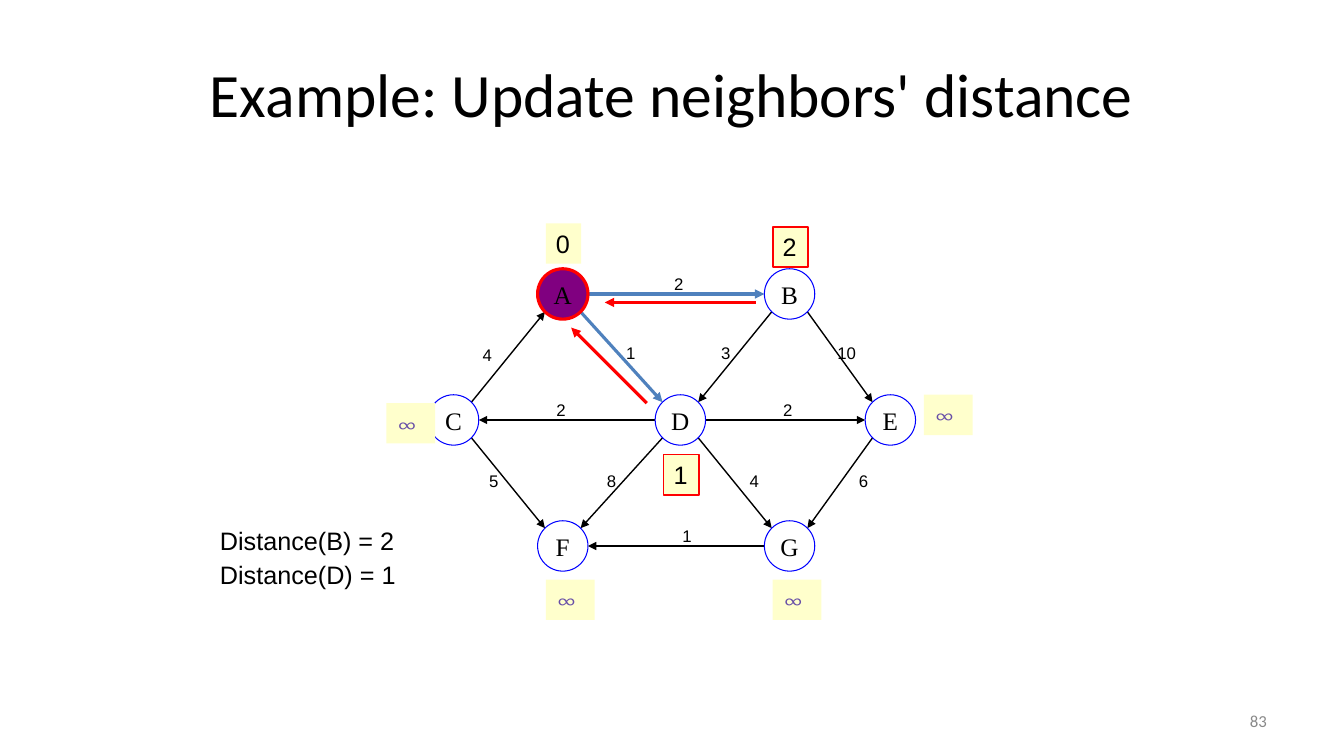
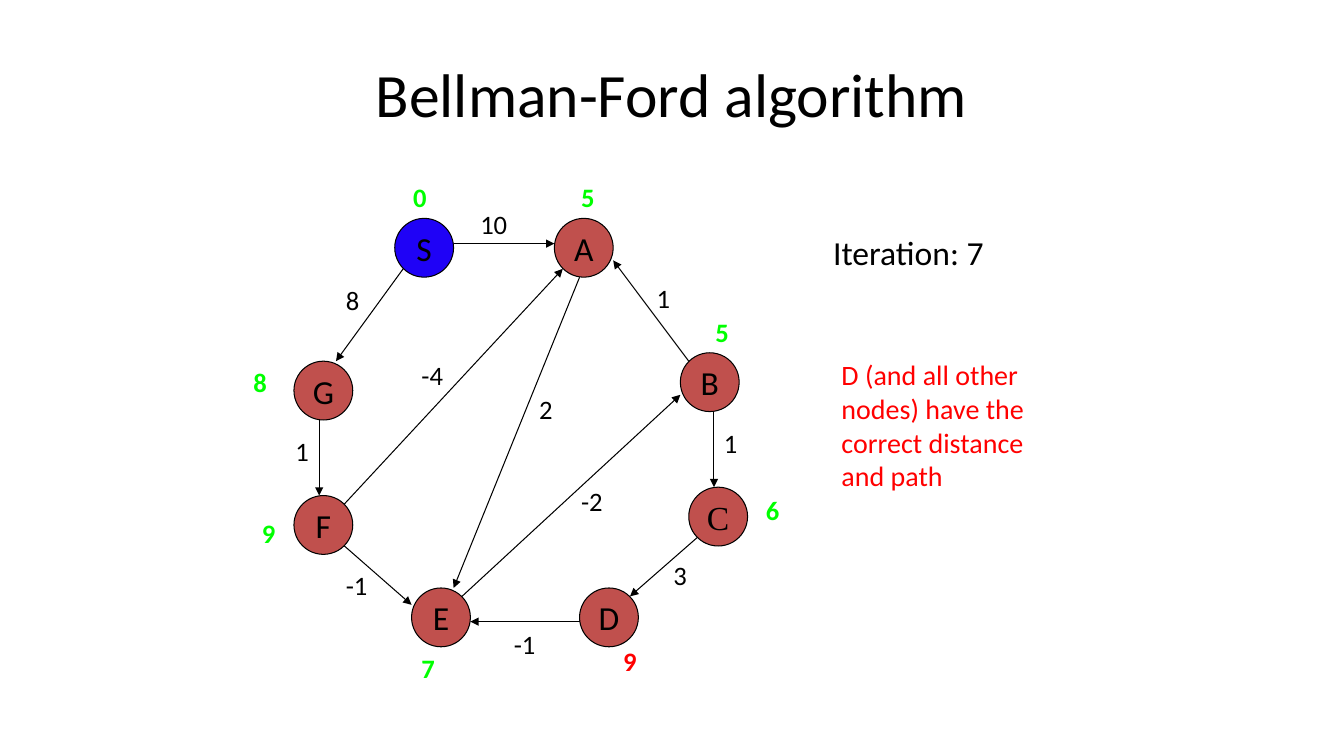
"""Builds two slides on shortest paths: Dijkstra's update step and Bellman-Ford."""
from math import sqrt

from lxml import etree
from pptx import Presentation
from pptx.dml.color import RGBColor
from pptx.enum.shapes import MSO_CONNECTOR as LINE, MSO_SHAPE as SHAPE
from pptx.enum.text import MSO_ANCHOR as ANCHOR, PP_ALIGN as ALIGN
from pptx.oxml.ns import qn
from pptx.util import Cm, Pt

BLACK, WHITE, RED, GRAY = "000000", "FFFFFF", "FF0000", "898989"
BLUE_RING, PURPLE, STEEL = "0000FF", "800080", "4F81BD"
CREAM, VIOLET = "FFFFCC", "674EA7"
BRICK, SOURCE_BLUE, GREEN = "C0504D", "1F02F6", "00FF00"
SANS, SERIF, ARIAL, MATH = "Calibri", "Times New Roman", "Arial", "Cambria"

COLUMNS, ROWS = 160, 90
CELL_CM = 2.54 / 12

UPDATE_TITLE = "Example: Update neighbors' distance"
UPDATE_NODES = {
    "A": (64, 32), "B": (91, 32), "C": (51, 47), "D": (78, 47),
    "E": (103, 47), "F": (64, 62), "G": (91, 62),
}
UPDATE_DIAMETER = 6
UPDATE_EDGES = [
    ("A", "B", "2", (79, 32)), ("A", "D", "1", (73.3, 40.2)),
    ("B", "D", "3", (84.6, 40.2)), ("B", "E", "10", (98.4, 40.2)),
    ("C", "A", "4", (56.2, 40.4)), ("C", "F", "5", (57, 55.4)),
    ("D", "C", "2", (65, 47)), ("D", "E", "2", (92, 47)),
    ("D", "F", "8", (71, 55.4)), ("D", "G", "4", (88, 55.4)),
    ("E", "G", "6", (101, 55.4)), ("G", "F", "1", (80, 62)),
]
CURRENT = "A"
UPDATED = ("B", "D")
UPDATE_DISTANCES = {
    "A": ("0", 65, 26.6), "B": ("2", 92, 27), "C": ("∞", 46, 48),
    "D": ("1", 79, 54.1), "E": ("∞", 110, 47), "F": ("∞", 65, 69),
    "G": ("∞", 92, 69),
}
RESULTS = [("Distance(B) = 2", 62), ("Distance(D) = 1", 66)]
BACK_POINTERS = [((77, 48), (68, 39)), ((90, 36), (72, 36))]
PAGE_NUMBER = "83"

BELLMAN_TITLE = "Bellman-Ford algorithm"
BELLMAN_NODES = {
    "G": (35, 43), "S": (47, 26), "F": (35, 59), "E": (49, 70),
    "A": (66, 26), "D": (69, 70), "B": (81, 42), "C": (82, 58),
}
BELLMAN_DIAMETER = 7
BELLMAN_EDGES = [
    ((54, 29), (66, 29), "10", (56, 24.2)),
    ((82, 43), (73, 31), "1", (77, 33)),
    ((85, 49), (85, 58), "1", (85, 50.2)),
    ((83, 64), (75, 71), "3", (79, 66)),
    ((69, 74), (56, 74), "-1", (60, 74.2)),
    ((41, 65), (49, 72), "-1", (40, 67.2)),
    ((38, 50), (38, 59), "1", (34, 51.2)),
    ((48, 32), (40, 43), "8", (40, 33.2)),
    ((41, 60), (67, 32), "-4", (49, 42.2)),
    ((69, 33), (54, 70), "2", (63, 46.2)),
    ((55, 71), (81, 47), "-2", (68, 57.2)),
]
BELLMAN_DISTANCES = {
    "S": ("0", 48, 21), "A": ("5", 68, 21), "B": ("5", 84, 37),
    "C": ("6", 90, 58.2), "D": ("9", 73, 76.2), "E": ("7", 49, 77),
    "F": ("9", 30, 61), "G": ("8", 29, 43),
}
JUST_CORRECTED = "D"
ITERATION = "Iteration: 7"
CONCLUSION = "D (and all other nodes) have the correct distance and path"


def rgb(code):
    """Turn a hex string into a colour."""
    return RGBColor.from_string(code)


def grid(*cells):
    """Turn grid cells into lengths."""
    return [Cm(cell * CELL_CM) for cell in cells]


def write(shape, text, size, font=SANS, color=BLACK, bold=False,
          align=ALIGN.LEFT, anchor=ANCHOR.TOP, wrap=True):
    """Set and format the text of a shape."""
    frame = shape.text_frame
    frame.text = text
    frame.word_wrap = wrap
    frame.vertical_anchor = anchor
    paragraph = frame.paragraphs[0]
    paragraph.alignment = align
    face = paragraph.runs[0].font
    face.name, face.size, face.bold = font, Pt(size), bold
    face.color.rgb = rgb(color)


def add_label(slide, text, box, size, **style):
    """Add a text box placed on the grid."""
    write(slide.shapes.add_textbox(*grid(*box)), text, size, **style)


def add_figure(slide, kind, box, fill=None, line=None, width=0.75):
    """Add a flat preset shape placed on the grid."""
    figure = slide.shapes.add_shape(kind, *grid(*box))
    figure.shadow.inherit = False
    if fill:
        figure.fill.solid()
        figure.fill.fore_color.rgb = rgb(fill)
    else:
        figure.fill.background()
    if line:
        figure.line.color.rgb = rgb(line)
        figure.line.width = Pt(width)
    else:
        figure.line.fill.background()
    return figure


def add_node(slide, name, corner, diameter, size, font, **look):
    """Add a circle that carries the name of its node."""
    node = add_figure(slide, SHAPE.OVAL, (*corner, diameter, diameter), **look)
    frame = node.text_frame
    frame.margin_left = frame.margin_right = 0
    frame.margin_top = frame.margin_bottom = 0
    write(node, name, size, font, align=ALIGN.CENTER, anchor=ANCHOR.MIDDLE,
          wrap=False)


def add_arrow(slide, start, end, color=BLACK, width=0.75):
    """Add a straight arrow between two grid points."""
    arrow = slide.shapes.add_connector(LINE.STRAIGHT, *grid(*start, *end))
    arrow.line.color.rgb = rgb(color)
    arrow.line.width = Pt(width)
    etree.SubElement(arrow.line._get_or_add_ln(), qn("a:tailEnd"),
                     type="triangle")
    etree.SubElement(arrow._element.spPr, qn("a:effectLst"))


def rim_points(start, end, diameter):
    """Find where an edge leaves and meets two circles, in steps of 45 degrees."""
    radius = diameter / 2
    dx, dy = ((b > a) - (b < a) for a, b in zip(start, end))
    reach = radius / sqrt(dx * dx + dy * dy)
    return [(x + radius + side * dx * reach, y + radius + side * dy * reach)
            for (x, y), side in ((start, 1), (end, -1))]


def add_titled_slide(deck, title):
    """Add a title-only slide with the shared title style."""
    slide = deck.slides.add_slide(deck.slide_layouts[5])
    slide.background.fill.solid()
    slide.background.fill.fore_color.rgb = rgb(WHITE)
    heading = slide.shapes.title
    heading.left, heading.top, heading.width, heading.height = grid(
        8, 3.6, 144, 15)
    write(heading, title, 44, align=ALIGN.CENTER, anchor=ANCHOR.MIDDLE)
    return slide


def build_update(deck):
    """Build the slide on updating the neighbours' distances."""
    slide = add_titled_slide(deck, UPDATE_TITLE)
    add_label(slide, PAGE_NUMBER, (114.7, 83.4, 37.3, 4.8), 12, color=GRAY,
              align=ALIGN.RIGHT, anchor=ANCHOR.MIDDLE)
    for origin, target, _, _ in UPDATE_EDGES:
        ends = rim_points(UPDATE_NODES[origin], UPDATE_NODES[target],
                          UPDATE_DIAMETER)
        active = origin == CURRENT
        add_arrow(slide, *ends, color=STEEL if active else BLACK,
                  width=2.25 if active else 1)
    for name, corner in UPDATE_NODES.items():
        look = (dict(fill=PURPLE, line=RED, width=2.25) if name == CURRENT
                else dict(line=BLUE_RING))
        add_node(slide, name, corner, UPDATE_DIAMETER, 18, SERIF, **look)
    for _, _, weight, corner in UPDATE_EDGES:
        box = (*corner, 2.4 + 1.2 * len(weight), 3.6)
        add_label(slide, weight, box, 12, font=ARIAL, align=ALIGN.CENTER,
                  anchor=ANCHOR.MIDDLE, wrap=False)
    for name, (distance, left, top) in UPDATE_DISTANCES.items():
        unknown = distance == "∞"
        tag = add_figure(slide, SHAPE.RECTANGLE,
                         (left, top, 5.8 if unknown else 4.2, 4.8), CREAM,
                         RED if name in UPDATED else None, 1.25)
        write(tag, distance, 18, MATH if unknown else ARIAL,
              VIOLET if unknown else BLACK)
    for result, top in RESULTS:
        add_label(slide, result, (25, top, 25.6, 4.8), 18, font=ARIAL)
    for start, end in BACK_POINTERS:
        add_arrow(slide, start, end, RED, 2.25)


def build_bellman(deck):
    """Build the slide on the Bellman-Ford algorithm."""
    slide = add_titled_slide(deck, BELLMAN_TITLE)
    for name, corner in BELLMAN_NODES.items():
        add_node(slide, name, corner, BELLMAN_DIAMETER, 24,
                 SERIF if name == "C" else SANS,
                 fill=SOURCE_BLUE if name == "S" else BRICK, line=BLACK)
    for start, end, weight, corner in BELLMAN_EDGES:
        add_arrow(slide, start, end)
        add_label(slide, weight, (*corner, 6, 5), 19)
    for name, (distance, left, top) in BELLMAN_DISTANCES.items():
        add_label(slide, distance, (left, top, 6, 5), 19, bold=True,
                  color=RED if name == JUST_CORRECTED else GREEN)
    add_label(slide, ITERATION, (98, 27, 28, 6), 24)
    add_label(slide, CONCLUSION, (99, 42, 29, 17.2), 20, color=RED)


def main():
    """Build and save the deck."""
    deck = Presentation()
    deck.slide_width, deck.slide_height = grid(COLUMNS, ROWS)
    build_update(deck)
    build_bellman(deck)
    deck.save("out.pptx")


if __name__ == "__main__":
    main()
